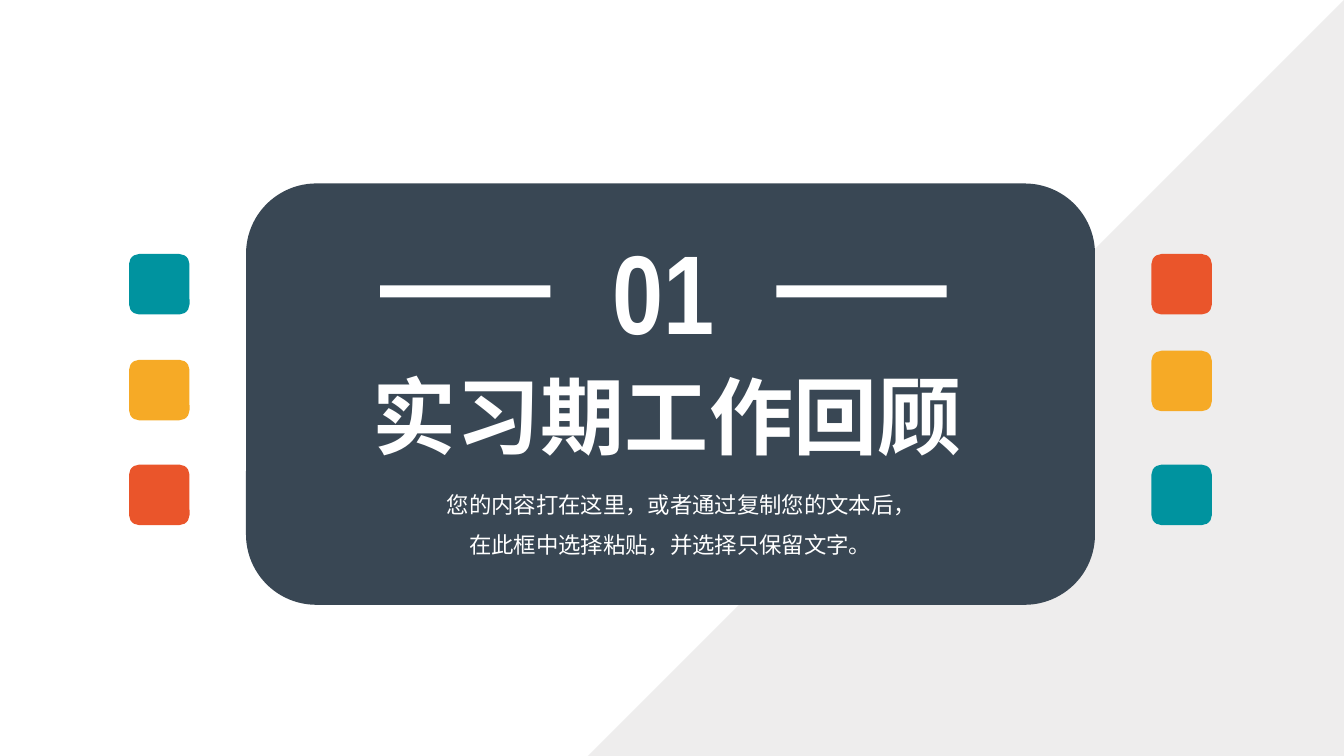
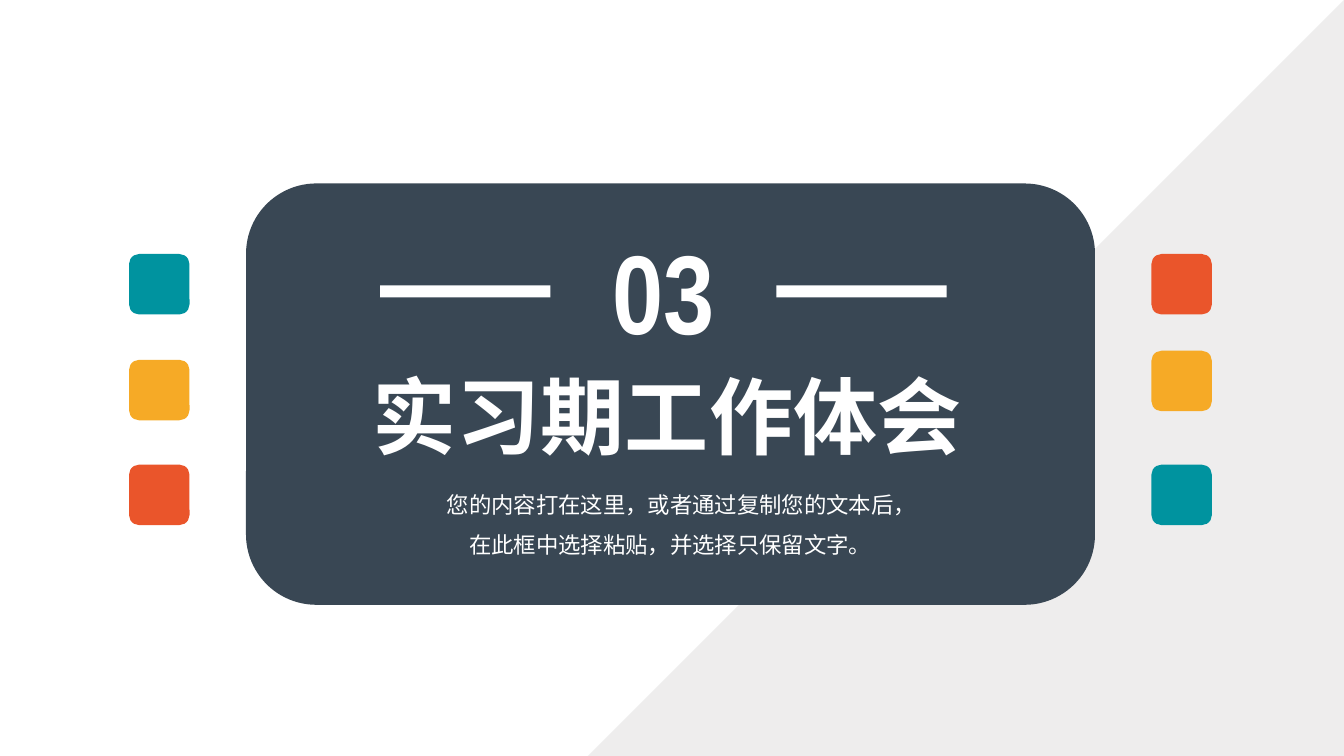
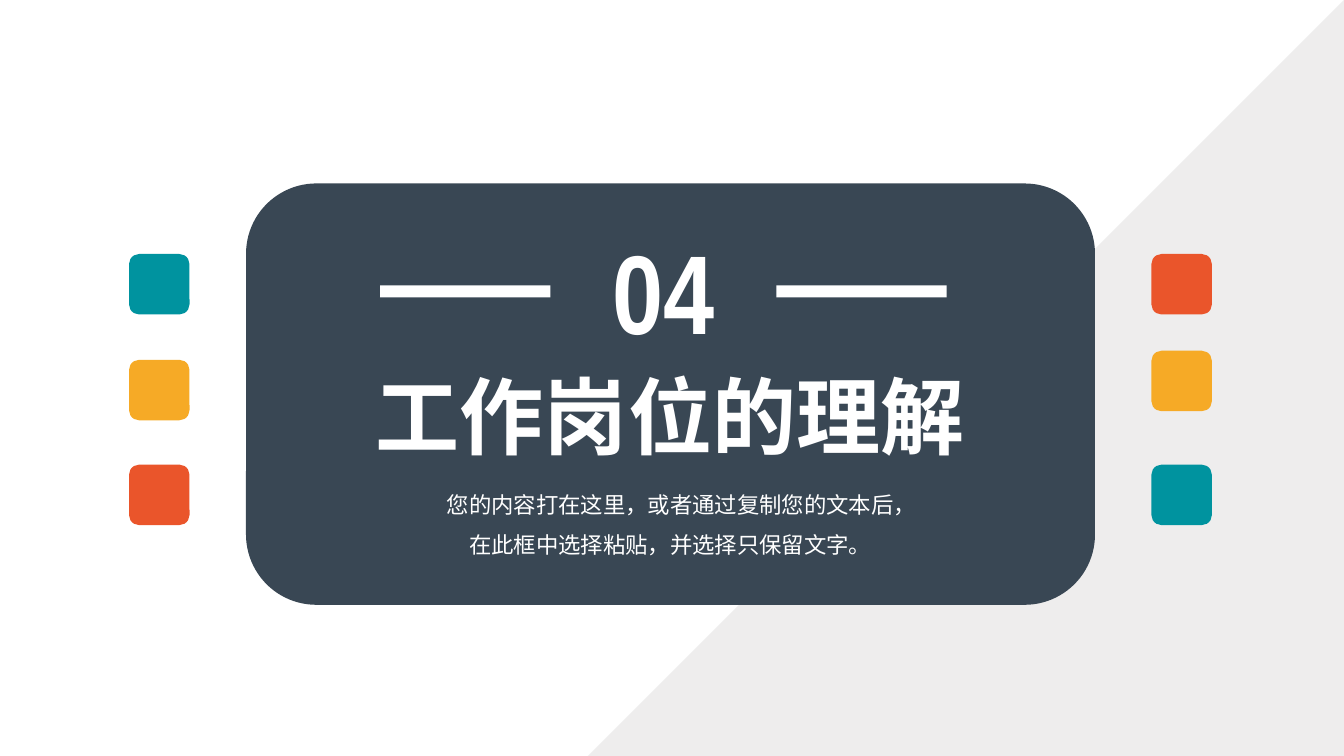
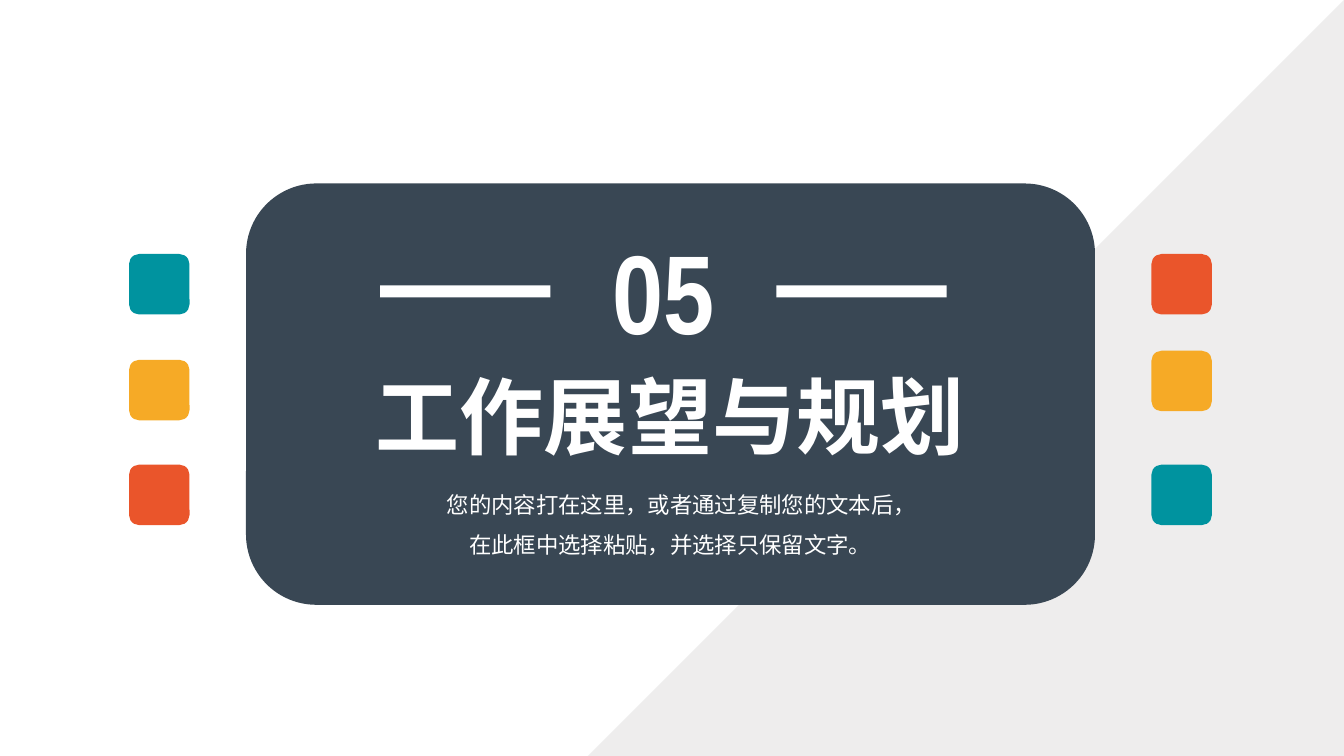
from dataclasses import dataclass

from lxml.etree import SubElement
from pptx import Presentation
from pptx.dml.color import RGBColor
from pptx.enum.lang import MSO_LANGUAGE_ID
from pptx.enum.shapes import MSO_SHAPE
from pptx.enum.text import MSO_AUTO_SIZE, PP_ALIGN
from pptx.oxml.ns import qn
from pptx.util import Inches, Pt


@dataclass(frozen=True)
class Theme:
    white: str = "FFFFFF"
    grey: str = "E7E6E6"
    navy: str = "394754"
    teal: str = "00939F"
    amber: str = "F6AA26"
    red: str = "EA552B"
    cjk: str = "Noto Sans CJK SC"
    latin: str = "Arial"
    narrow: str = "Arial Narrow"
    number: int = 80
    title: int = 60
    body: int = 16


THEME = Theme()
WIDTH, HEIGHT = 13.33, 7.5
PANEL = (2.44, 1.82, 8.42, 4.18)
TILE = 0.6
NOTE = "您的内容打在这里，或者通过复制您的文本后，在此框中选择粘贴，并选择只保留文字。"
SECTIONS = [
    ("01", "实习期工作回顾", THEME.cjk, PP_ALIGN.LEFT),
    ("03", "实习期工作体会", THEME.latin, PP_ALIGN.LEFT),
    ("04", "工作岗位的理解", THEME.latin, PP_ALIGN.CENTER),
    ("05", "工作展望与规划", THEME.latin, PP_ALIGN.CENTER),
]


def add_block(slide, kind, box, color):
    block = slide.shapes.add_shape(kind, *map(Inches, box))
    block.shadow.inherit = False
    block.fill.solid()
    block.fill.fore_color.rgb = RGBColor.from_string(color)
    block.line.fill.background()
    return block


def add_label(slide, box, text, size, face, bold=True,
              align=PP_ALIGN.CENTER, wrap=True, spacing=None):
    frame = slide.shapes.add_textbox(*map(Inches, box)).text_frame
    frame.word_wrap = wrap
    frame.auto_size = MSO_AUTO_SIZE.SHAPE_TO_FIT_TEXT
    para = frame.paragraphs[0]
    para.alignment = align
    para.line_spacing = spacing
    run = para.add_run()
    run.text = text
    font = run.font
    font.size, font.bold, font.name = Pt(size), bold, face
    font.color.rgb = RGBColor.from_string(THEME.white)
    font.language_id = MSO_LANGUAGE_ID.SIMPLIFIED_CHINESE
    SubElement(run._r.get_or_add_rPr(), qn("a:ea"), typeface=THEME.cjk)


def add_corner(slide):
    """Pale triangle filling the lower right of the slide."""
    box = (WIDTH - HEIGHT, 0, HEIGHT, HEIGHT)
    corner = add_block(slide, MSO_SHAPE.RIGHT_TRIANGLE, box, THEME.grey)
    corner.rotation = 270
    color = corner.fill._xPr.find(qn("a:solidFill"))[0]
    SubElement(color, qn("a:alpha"), val="70000")


def add_panel(slide, box, number, title, face, align):
    left, top, width, height = box
    add_block(slide, MSO_SHAPE.ROUNDED_RECTANGLE, box, THEME.navy)
    add_label(slide, (left + 1.16, top + 1.75, 6.09, 1.11), title,
              THEME.title, face, align=align, wrap=False)
    add_label(slide, (left + 3.03, top + 0.34, 2.23, 1.45), number,
              THEME.number, THEME.narrow)
    for shift in (1.33, 5.26):
        add_block(slide, MSO_SHAPE.RECTANGLE,
                  (left + shift, top + 1.01, 1.69, 0.12), THEME.white)
    add_label(slide, (left + 1.83, top + 2.87, 4.76, 0.86), NOTE,
              THEME.body, THEME.cjk, bold=False, spacing=1.5)


def add_tiles(slide, left, tops, colors):
    for top, color in zip(tops, colors):
        add_block(slide, MSO_SHAPE.ROUNDED_RECTANGLE,
                  (left, top, TILE, TILE), color)


def add_section(deck, *section):
    slide = deck.slides.add_slide(deck.slide_layouts[6])
    colors = (THEME.teal, THEME.amber, THEME.red)
    add_corner(slide)
    add_panel(slide, PANEL, *section)
    add_tiles(slide, 1.28, (2.52, 3.57, 4.61), colors)
    add_tiles(slide, 11.42, (2.52, 3.48, 4.61), colors[::-1])


def main():
    deck = Presentation()
    deck.slide_width, deck.slide_height = Inches(WIDTH), Inches(HEIGHT)
    for section in SECTIONS:
        add_section(deck, *section)
    deck.save("out.pptx")


if __name__ == "__main__":
    main()
